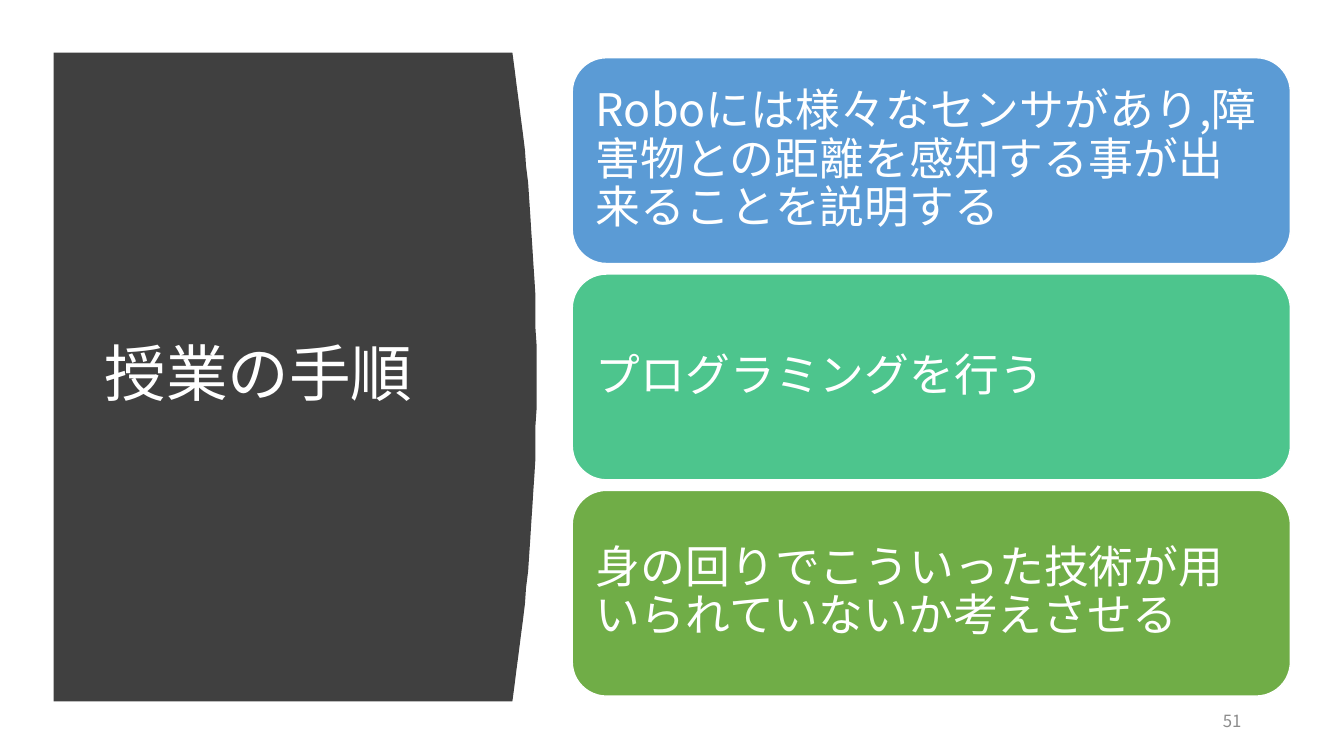
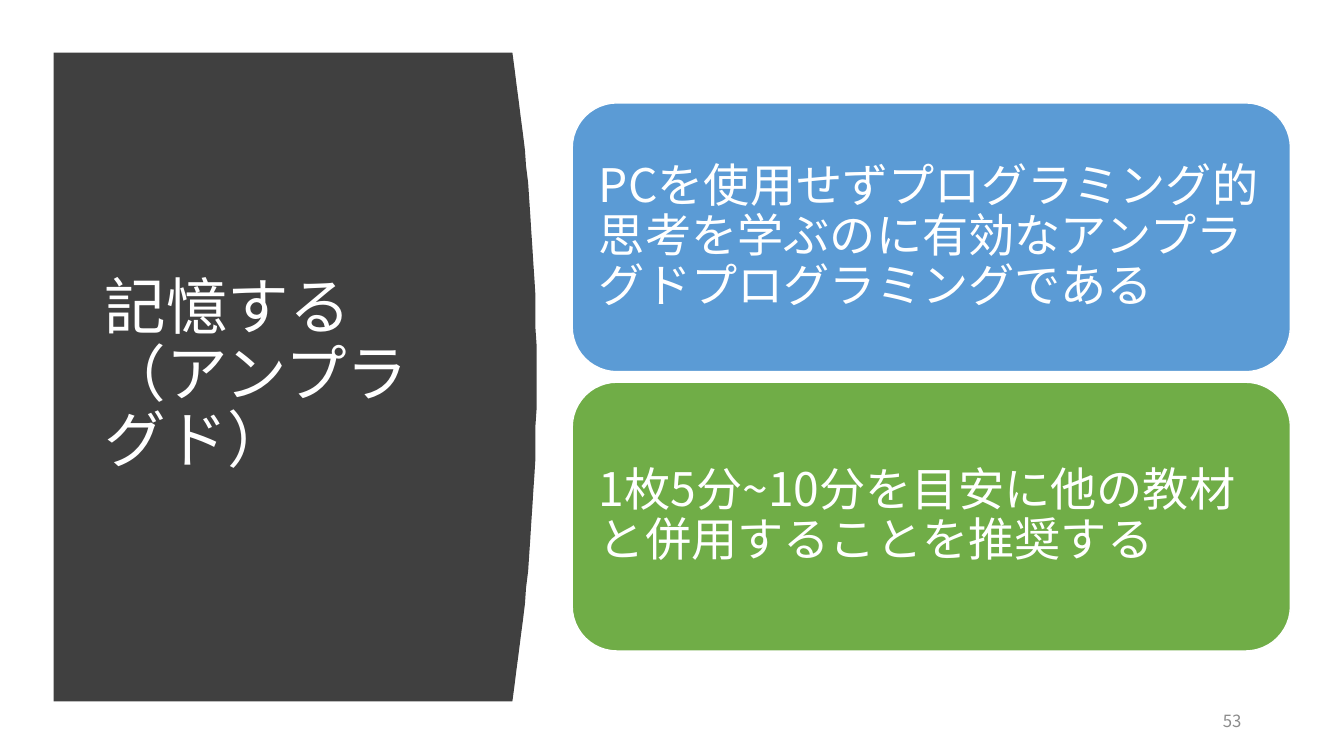
from lxml.etree import SubElement
from pptx import Presentation
from pptx.dml.color import RGBColor
from pptx.enum.shapes import MSO_SHAPE
from pptx.enum.text import MSO_ANCHOR, MSO_AUTO_SIZE, PP_ALIGN
from pptx.oxml.ns import qn
from pptx.util import Pt

PX = 9525
FONT = "Noto Sans CJK JP"
WHITE = RGBColor(0xFF, 0xFF, 0xFF)
CHARCOAL = RGBColor(0x40, 0x40, 0x40)
GRAY = RGBColor(0x8C, 0x8C, 0x8C)
BLUE = RGBColor(0x5B, 0x9B, 0xD5)
TEAL = RGBColor(0x4D, 0xC5, 0x8D)
GREEN = RGBColor(0x70, 0xAD, 0x47)

PANEL_BOX = (51, 50, 460, 618)
TITLE_BOX = (90, 107, 359, 503)
NUMBER_BOX = (1126, 667, 66, 38)
CARDS_BOX = (545, 54, 684, 610)
BULGE = 23
CURVE_STEPS = 40
CARD_GAP = 10
CARD_INSET = 13

SLIDES = [
    {
        "title": "授業の手順",
        "number": "51",
        "card_height": 196,
        "size": 32,
        "cards": [
            ("Roboには様々なセンサがあり,障害物との距離を感知する事が出来ることを説明する", BLUE),
            ("プログラミングを行う", TEAL),
            ("身の回りでこういった技術が用いられていないか考えさせる", GREEN),
        ],
    },
    {
        "title": "記憶する（アンプラグド）",
        "number": "53",
        "card_height": 256,
        "size": 33,
        "cards": [
            ("PCを使用せずプログラミング的思考を学ぶのに有効なアンプラグドプログラミングである", BLUE),
            ("1枚5分~10分を目安に他の教材と併用することを推奨する", GREEN),
        ],
    },
]


def emu(box):
    """Turn a box in px into EMU lengths."""
    return [length * PX for length in box]


def write_text(shape, text, size, color, align=PP_ALIGN.LEFT, spacing=0.9):
    """Write one vertically centred paragraph into a shape."""
    frame = shape.text_frame
    frame.word_wrap = True
    frame.auto_size = MSO_AUTO_SIZE.NONE
    frame.vertical_anchor = MSO_ANCHOR.MIDDLE
    frame.text = text
    paragraph = frame.paragraphs[0]
    paragraph.alignment = align
    paragraph.line_spacing = spacing
    font = paragraph.font
    font.name = FONT
    font.size = Pt(size)
    font.color.rgb = color
    properties = paragraph._p.pPr.find(qn("a:defRPr"))
    SubElement(properties, qn("a:ea"), typeface=FONT)


def add_panel(slide, box):
    """Add the dark panel whose right edge bulges as a parabola."""
    left, top, width, height = box
    flat = left + width - BULGE
    edge = []
    for step in range(CURVE_STEPS + 1):
        offset = 2 * step / CURVE_STEPS - 1
        edge.append((flat + BULGE * (1 - offset ** 2), top + height * step / CURVE_STEPS))
    builder = slide.shapes.build_freeform(left, top, scale=PX)
    builder.add_line_segments(edge + [(left, top + height)], close=True)
    panel = builder.convert_to_shape()
    panel.shadow.inherit = False
    panel.fill.solid()
    panel.fill.fore_color.rgb = CHARCOAL
    panel.line.fill.background()
    slide.shapes._spTree.insert(2, panel._element)


def add_title(slide, text, box):
    """Move the title placeholder onto the panel and fill it."""
    title = slide.shapes.title
    title.left, title.top, title.width, title.height = emu(box)
    write_text(title, text, 44, WHITE)


def add_number(slide, text, box):
    """Add the page number at the bottom right."""
    number = slide.shapes.add_textbox(*emu(box))
    write_text(number, text, 12, GRAY, PP_ALIGN.RIGHT, 1.0)


def add_cards(slide, cards, card_height, size, box):
    """Stack rounded cards, centred vertically in the box."""
    left, top, width, height = box
    pitch = card_height + CARD_GAP
    first = top + (height - len(cards) * pitch + CARD_GAP) // 2
    for index, (text, color) in enumerate(cards):
        card = slide.shapes.add_shape(
            MSO_SHAPE.ROUNDED_RECTANGLE,
            *emu((left, first + index * pitch, width, card_height)),
        )
        card.shadow.inherit = False
        card.fill.solid()
        card.fill.fore_color.rgb = color
        card.line.color.rgb = WHITE
        card.line.width = Pt(1)
        frame = card.text_frame
        frame.margin_left = frame.margin_right = CARD_INSET * PX
        frame.margin_top = frame.margin_bottom = CARD_INSET * PX
        write_text(card, text, size, WHITE)


def add_panel_slide(presentation, content):
    """Build a slide with a titled panel and a stack of cards."""
    slide = presentation.slides.add_slide(presentation.slide_layouts[5])
    add_panel(slide, PANEL_BOX)
    add_title(slide, content["title"], TITLE_BOX)
    add_number(slide, content["number"], NUMBER_BOX)
    add_cards(slide, content["cards"], content["card_height"], content["size"], CARDS_BOX)


def main():
    """Build and save the presentation."""
    presentation = Presentation()
    presentation.slide_width, presentation.slide_height = emu((1280, 720))
    for content in SLIDES:
        add_panel_slide(presentation, content)
    presentation.save("out.pptx")


if __name__ == "__main__":
    main()
